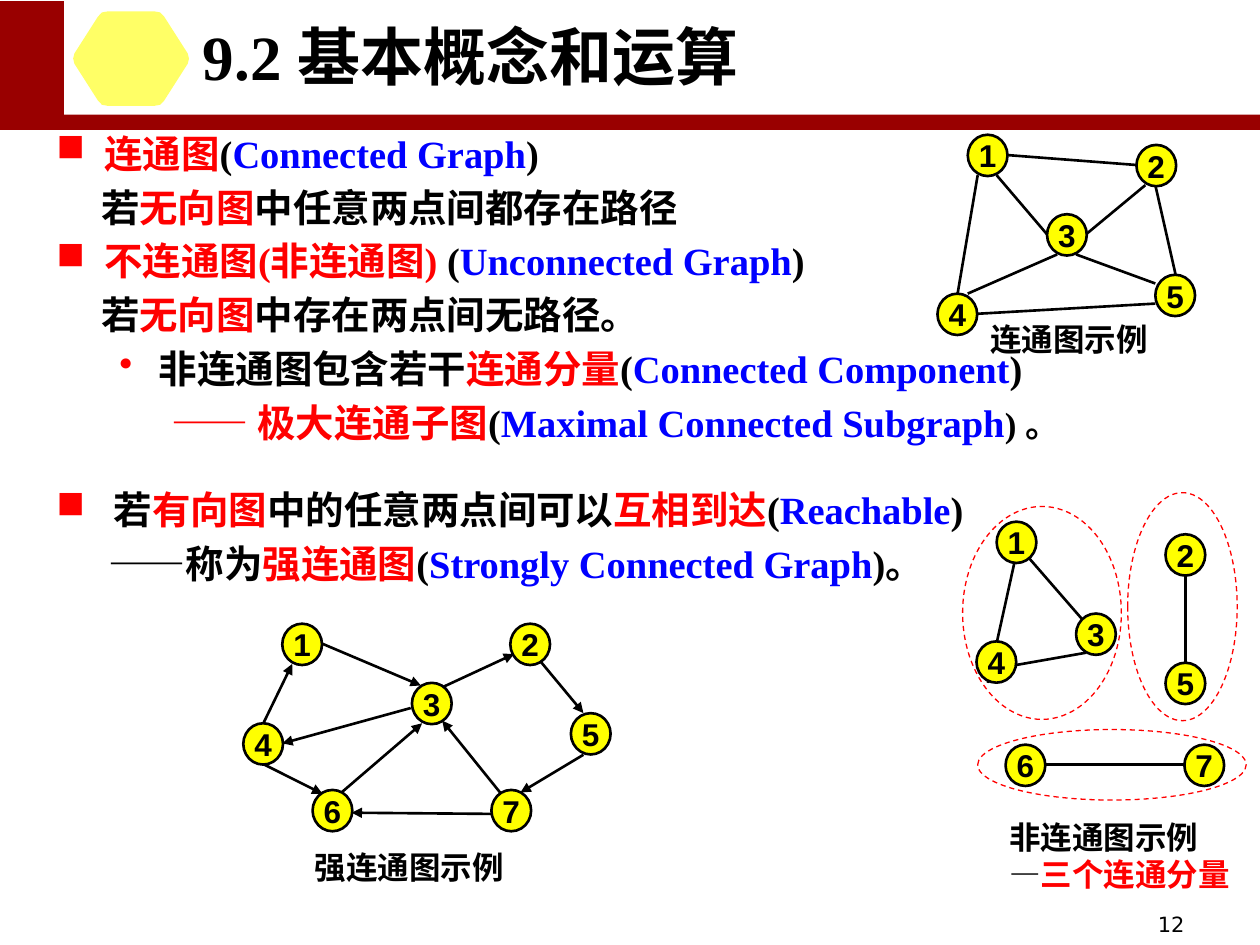
from pptx import Presentation
from pptx.dml.color import RGBColor
from pptx.enum.dml import MSO_LINE_DASH_STYLE as Dash
from pptx.enum.shapes import MSO_CONNECTOR as Connector, MSO_SHAPE as Shape
from pptx.enum.text import MSO_ANCHOR as Anchor, MSO_AUTO_SIZE as AutoSize, PP_ALIGN as Align
from pptx.oxml.ns import qn
from pptx.util import Pt
from lxml.etree import SubElement

BLACK = RGBColor(0, 0, 0)
WHITE = RGBColor(255, 255, 255)
RED = RGBColor(255, 0, 0)
BLUE = RGBColor(0, 0, 255)
DARK_RED = RGBColor(0x99, 0, 0)
NODE_YELLOW = RGBColor(255, 255, 0)
BADGE_YELLOW = RGBColor(255, 255, 0x66)
SERIF, SANS = "Times New Roman", "Arial"
NODE_SIZE = (22.7, 23.6)

# Body text: (left margin, first-line indent, bullet, space before, runs)
BODY = [
    (27.4, -27.4, "■", 0,
     [("连通图", RED), ("(", BLACK), ("Connected Graph", BLUE), (")", BLACK)]),
    (25.5, 0, None, 4.4,
     [("若", BLACK), ("无向图", RED), ("中任意两点间都存在路径", BLACK)]),
    (27.4, -27.4, "■", 4.4,
     [("不连通图(非连通图) ", RED), ("(", BLACK), ("Unconnected Graph", BLUE), (")", BLACK)]),
    (25.5, 0, None, 4.4,
     [("若", BLACK), ("无向图", RED), ("中存在两点间无路径。", BLACK)]),
    (58.5, -22.5, "•", 4.4,
     [("非连通图包含若干", BLACK), ("连通分量", RED), ("(", BLACK),
      ("Connected Component", BLUE), (")", BLACK)]),
    (66, 0, None, 4.4,
     [("—— 极大连通子图", RED), ("(", BLACK),
      ("Maximal Connected Subgraph", BLUE), (") 。", BLACK, 20)]),
    (32.7, -32.7, "■", 23.3,
     [("若", BLACK), ("有向图", RED), ("中的任意两点间可以", BLACK), ("互相到达", RED),
      ("(", BLACK), ("Reachable", BLUE), (")", BLACK)]),
    (30, 0, None, 4.4,
     [("——称为", BLACK), ("强连通图", RED), ("(", BLACK),
      ("Strongly Connected Graph", BLUE), (")。", BLACK)]),
]

# Graphs: node label -> (left, top); edges as (x1, y1, x2, y2)
CONNECTED_NODES = {1: (553, 77), 2: (649.4, 82.8), 3: (598.3, 122.4),
                   4: (535.7, 167.8), 5: (660.2, 157)}
CONNECTED_EDGES = [
    (558.7, 100.1, 547.2, 167.8), (660.2, 105.8, 671.8, 157),
    (575.3, 88.6, 649.4, 94.3), (569.5, 100.1, 598.3, 133.9),
    (604.1, 145.4, 553, 167.8), (614.9, 145.4, 660.2, 162),
    (558.7, 179.3, 660.2, 173.5), (654.5, 105.8, 620.6, 133.9),
]
UNCONNECTED_NODES = {1: (569.5, 298.1), 2: (666, 305.3), 3: (614.9, 350.6), 4: (558, 366.5),
                     5: (666, 378.7), 6: (574.6, 425.5), 7: (676.8, 425.5)}
UNCONNECTED_EDGES = [
    (579.6, 321.8, 564.5, 390.2), (677.5, 327.6, 677.5, 380.2),
    (586.8, 317.5, 620.6, 356.4), (620.6, 373, 579.6, 380.2),
    (597.6, 437, 676.8, 437),
]
STRONG_NODES = {1: (161.3, 356.4), 2: (291.6, 356.4), 3: (235.4, 390.2), 4: (139, 413.3),
                5: (326.2, 407.5), 6: (178.6, 451.4), 7: (280.8, 451.4)}
STRONG_EDGES = [
    (150.5, 413.3, 167, 379.4), (252, 393.1, 293.8, 373.7),
    (184.3, 367.9, 240.5, 391.7), (234.7, 404.6, 161.3, 424.8),
    (280.8, 465.1, 200.9, 464.4), (308.9, 378, 333.4, 407.5),
    (333.4, 431.3, 297.4, 452.9), (195.1, 452.9, 241.2, 413.3),
    (149.8, 436.3, 184.3, 453.6), (285.8, 452.9, 252.7, 411.8),
]
COMPONENT_RINGS = [(644.4, 281.5, 62.6, 130.3), (550.1, 289.4, 90.7, 121.7),
                   (558.7, 416.9, 153.4, 40.3)]


def points(values):
    return [Pt(value) for value in values]


def add_run(paragraph, text, size, color=BLACK, font=SANS, bold=True):
    run = paragraph.add_run()
    run.text = text
    run.font.size = Pt(size)
    run.font.name = font
    run.font.bold = bold
    run.font.color.rgb = color


def add_shape(slide, kind, box, fill=None, line=None, width=1.5):
    shape = slide.shapes.add_shape(kind, *points(box))
    shape.shadow.inherit = False
    if fill is None:
        shape.fill.background()
    else:
        shape.fill.solid()
        shape.fill.fore_color.rgb = fill
    if line is None:
        shape.line.fill.background()
    else:
        shape.line.color.rgb = line
        shape.line.width = Pt(width)
    return shape


def add_textbox(slide, box):
    frame = slide.shapes.add_textbox(*points(box)).text_frame
    frame.word_wrap = True
    return frame


def add_caption(slide, box, *lines):
    frame = add_textbox(slide, box)
    for index, runs in enumerate(lines):
        paragraph = frame.add_paragraph() if index else frame.paragraphs[0]
        for text, color in runs:
            add_run(paragraph, text, 18, color)


def add_edge(slide, edge, directed):
    connector = slide.shapes.add_connector(Connector.STRAIGHT, *points(edge))
    connector.line.color.rgb = BLACK
    connector.line.width = Pt(1.5)
    if directed:
        SubElement(connector.line._get_or_add_ln(), qn("a:tailEnd"), type="triangle")
    SubElement(connector._element.spPr, qn("a:effectLst"))


def add_node(slide, label, position):
    node = add_shape(slide, Shape.OVAL, (*position, *NODE_SIZE), NODE_YELLOW, BLACK)
    frame = node.text_frame
    frame.word_wrap = False
    frame.vertical_anchor = Anchor.MIDDLE
    frame.paragraphs[0].alignment = Align.CENTER
    add_run(frame.paragraphs[0], str(label), 18)


def add_graph(slide, nodes, edges, directed=False):
    for edge in edges:
        add_edge(slide, edge, directed)
    for label, position in nodes.items():
        add_node(slide, label, position)


def add_body(slide):
    frame = add_textbox(slide, (25.2, 70.6, 629.3, 385.9))
    for index, (margin, indent, bullet, space, runs) in enumerate(BODY):
        paragraph = frame.add_paragraph() if index else frame.paragraphs[0]
        properties = paragraph._p.get_or_add_pPr()
        properties.set("marL", str(Pt(margin)))
        properties.set("indent", str(Pt(indent)))
        if bullet:
            color = SubElement(properties, qn("a:buClr"))
            SubElement(color, qn("a:srgbClr"), val=str(RED))
            SubElement(properties, qn("a:buChar"), char=bullet)
        if space:
            paragraph.space_before = Pt(space)
        for text, color, *size in runs:
            add_run(paragraph, text, size[0] if size else 22, color, SERIF)


def add_title(slide):
    title = slide.shapes.title
    title.left, title.top, title.width, title.height = points((-20.2, 6.5, 578.2, 51.1))
    slide.shapes._spTree.append(title._element)  # bring in front of the header band
    frame = title.text_frame
    frame.auto_size = AutoSize.NONE
    frame.word_wrap = True
    frame.vertical_anchor = Anchor.TOP
    frame.paragraphs[0].alignment = Align.CENTER
    add_run(frame.paragraphs[0], "9.2 基本概念和运算", 36, BLACK, SERIF)


def add_badge(slide):
    # Hexagon with softened corners, mirrored from its lower right quarter
    quarter = [(33.1, 0), (32.4, 2.9), (18.9, 24), (16.6, 26.4), (13.3, 27)]
    lower = quarter + [(-x, y) for x, y in reversed(quarter)]
    outline = lower + [(-x, -y) for x, y in lower[1:-1]]
    corners = [(Pt(74.9 + x), Pt(33.5 + y)) for x, y in outline]
    builder = slide.shapes.build_freeform(*corners[0], scale=1.0)
    builder.add_line_segments(corners[1:], close=True)
    badge = builder.convert_to_shape()
    badge.shadow.inherit = False
    badge.fill.solid()
    badge.fill.fore_color.rgb = BADGE_YELLOW
    badge.line.fill.background()


def main():
    presentation = Presentation()
    presentation.slide_width, presentation.slide_height = Pt(720), Pt(540)
    slide = presentation.slides.add_slide(presentation.slide_layouts[5])

    # Header band, title and badge
    add_shape(slide, Shape.RECTANGLE, (0, 0.7, 720, 73.5), DARK_RED)
    add_shape(slide, Shape.RECTANGLE, (36.7, 0, 683.3, 65.5), WHITE)
    add_title(slide)
    add_badge(slide)
    add_body(slide)

    # Example graphs with their captions
    add_graph(slide, CONNECTED_NODES, CONNECTED_EDGES)
    add_caption(slide, (558.7, 179.3, 118.8, 28.8), [("连通图示例", BLACK)])
    add_graph(slide, UNCONNECTED_NODES, UNCONNECTED_EDGES)
    add_caption(slide, (569.5, 463.7, 147.6, 51.1), [("非连通图示例", BLACK)],
                [("—", BLACK), ("三个连通分量", RED)])
    add_graph(slide, STRONG_NODES, STRONG_EDGES, directed=True)
    add_caption(slide, (172.8, 481, 147.6, 28.8), [("强连通图示例", BLACK)])

    # Dashed rings around the three components
    for box in COMPONENT_RINGS:
        ring = add_shape(slide, Shape.OVAL, box, line=RED, width=0.75)
        ring.line.dash_style = Dash.DASH

    # Slide number
    number = add_textbox(slide, (516.2, 519.1, 167.8, 18))
    number.vertical_anchor = Anchor.MIDDLE
    number.paragraphs[0].alignment = Align.RIGHT
    add_run(number.paragraphs[0], "12", 12, font="DejaVu Sans", bold=False)

    presentation.save("out.pptx")


if __name__ == "__main__":
    main()
